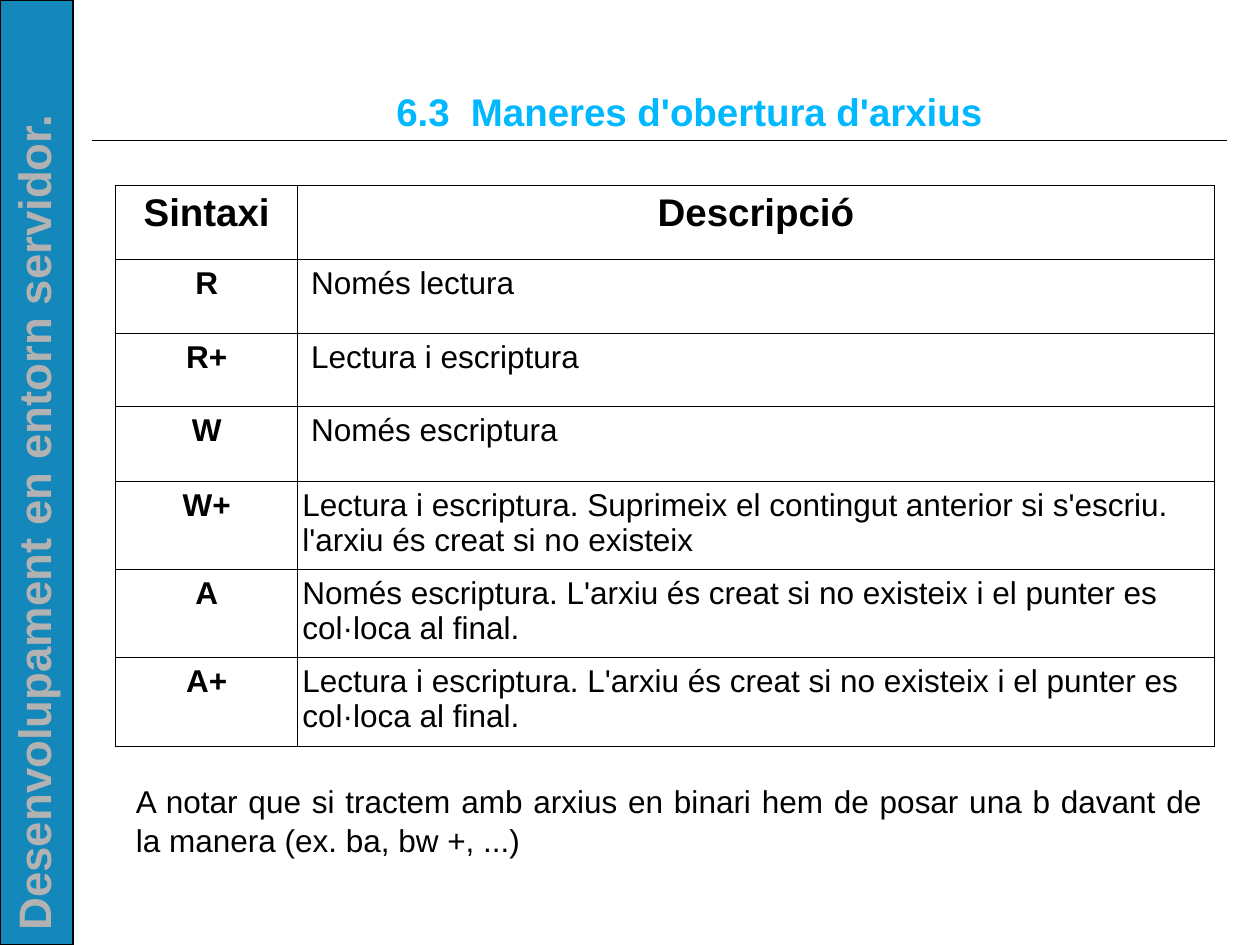
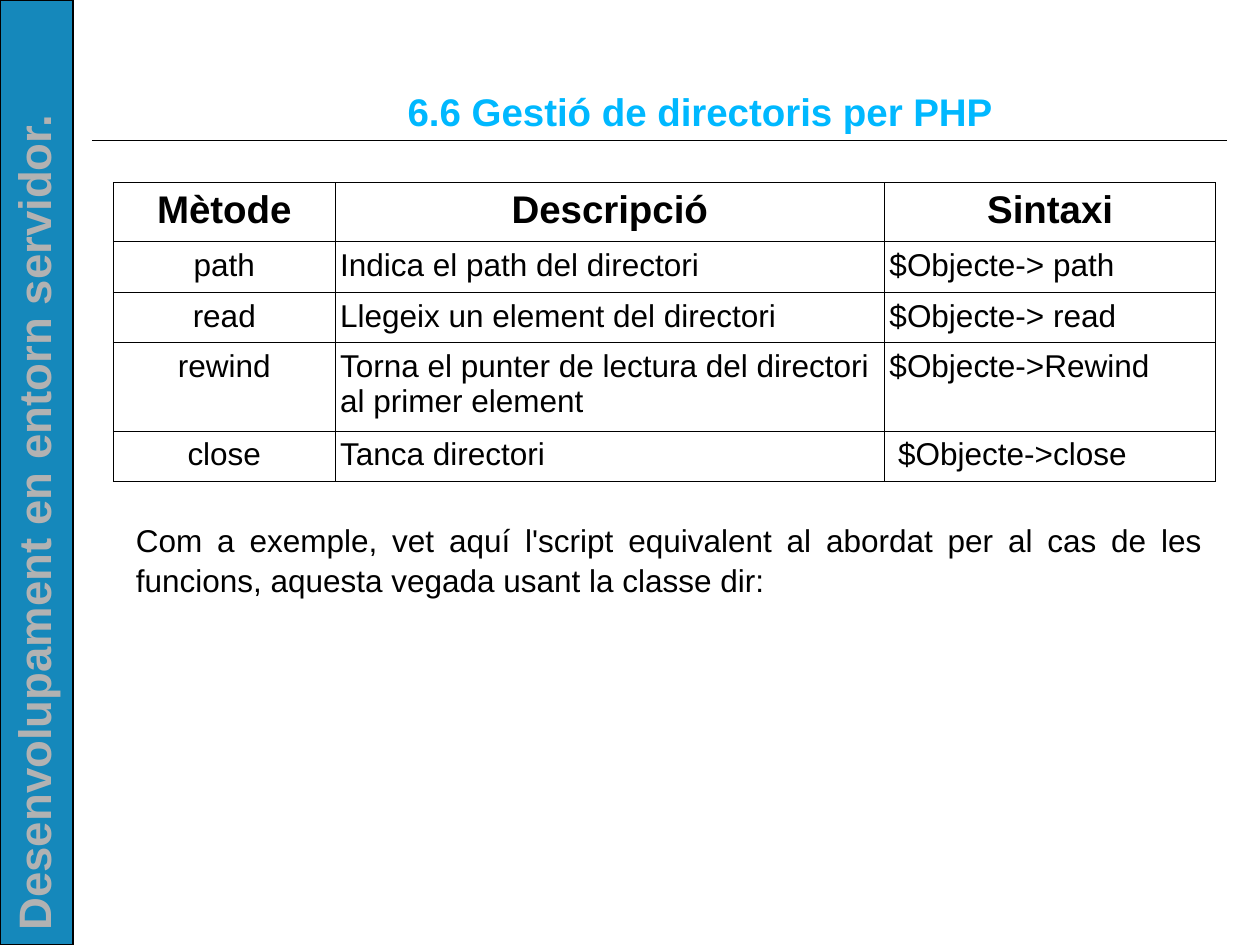
"""Builds two course slides on opening files and managing directories."""
from dataclasses import dataclass

from lxml import etree
from pptx import Presentation
from pptx.dml.color import RGBColor
from pptx.enum import shapes, text
from pptx.oxml import ns
from pptx.util import Inches, Pt


@dataclass(frozen=True)
class Theme:
    """Colours, font and type sizes of the course."""
    font: str = "Arial"
    ink: str = "000000"
    paper: str = "FFFFFF"
    band: str = "1588BB"
    caption: str = "B2B2B2"
    accent: str = "00B8FF"
    caption_size: int = 26
    heading_size: int = 22
    body_size: int = 18
    hairline: float = 0.25
    band_line: float = 1
    cell_line: float = 0.57


THEME = Theme()
COURSE = "Desenvolupament en entorn servidor."
LESSONS = [
    {
        "heading": "6.3  Maneres d'obertura d'arxius ",
        "corner": (0.92, 1.47),
        "columns": (1.44, 7.28),
        "row_heights": (0.59, 0.59, 0.58, 0.59, 0.7, 0.7, 0.7),
        "bold_keys": True,
        "rows": [
            ("Sintaxi", "Descripció"),
            ("R", " Només lectura"),
            ("R+", " Lectura i escriptura"),
            ("W", " Només escriptura"),
            ("W+", "Lectura i escriptura. Suprimeix el contingut anterior si s'escriu. "
                   "l'arxiu és creat si no existeix"),
            ("A", "Només escriptura. L'arxiu és creat si no existeix i el punter es "
                  "col·loca al final."),
            ("A+", "Lectura i escriptura. L'arxiu és creat si no existeix i el punter es "
                   "col·loca al final."),
        ],
        "remark_top": 6.14,
        "remark": "A notar que si tractem amb arxius en binari hem de posar una b davant de "
                  "la manera (ex. ba, bw +, ...) ",
    },
    {
        "heading": " 6.6 Gestió de directoris per PHP",
        "corner": (0.9, 1.45),
        "columns": (1.76, 4.36, 2.63),
        "row_heights": (0.47, 0.4, 0.4, 0.7, 0.4),
        "bold_keys": False,
        "rows": [
            ("Mètode", "Descripció", "Sintaxi"),
            ("path", "Indica el path del directori", "$Objecte-> path"),
            ("read", "Llegeix un element del directori", "$Objecte-> read"),
            ("rewind", "Torna el punter de lectura del directori al primer element",
             "$Objecte->Rewind"),
            ("close", "Tanca directori", " $Objecte->close"),
        ],
        "remark_top": 4.07,
        "remark": "Com a exemple, vet aquí l'script equivalent al abordat per al cas de les "
                  "funcions, aquesta vegada usant la classe dir: ",
    },
]


def rgb(colour):
    """Turn a hex string into a colour."""
    return RGBColor.from_string(colour)


def write(frame, words, size, colour=THEME.ink, bold=False, align=text.PP_ALIGN.LEFT):
    """Write one run into the first paragraph and return that paragraph."""
    frame.word_wrap = True
    paragraph = frame.paragraphs[0]
    paragraph.alignment = align
    run = paragraph.add_run()
    run.text = words
    run.font.name = THEME.font
    run.font.size = Pt(size)
    run.font.bold = bold
    run.font.color.rgb = rgb(colour)
    return paragraph


def set_insets(holder, side, end):
    """Set the inner margins of a text frame or a cell."""
    holder.margin_left = holder.margin_right = Inches(side)
    holder.margin_top = holder.margin_bottom = Inches(end)


def add_frame(slide):
    """Draw the side band, the course caption and the rule under the title."""
    band = slide.shapes.add_shape(
        shapes.MSO_SHAPE.RECTANGLE, 0, 0, Inches(0.58), Inches(7.5))
    band.shadow.inherit = False
    band.fill.solid()
    band.fill.fore_color.rgb = rgb(THEME.band)
    band.line.color.rgb = rgb(THEME.ink)
    band.line.width = Pt(THEME.band_line)

    caption = slide.shapes.add_textbox(
        Inches(-3.24), Inches(3.74), Inches(6.98), Inches(0.51))
    caption.rotation = 270
    write(caption.text_frame, COURSE, THEME.caption_size, THEME.caption, True)

    rule = slide.shapes.add_connector(
        shapes.MSO_CONNECTOR.STRAIGHT, Inches(0.73), Inches(1.11), Inches(9.74), Inches(1.11))
    rule.line.color.rgb = rgb(THEME.ink)
    rule.line.width = Pt(THEME.hairline)
    etree.SubElement(rule._element.spPr, ns.qn("a:effectLst"))


def add_heading(slide, words):
    """Place and fill the title."""
    heading = slide.shapes.title
    heading.left, heading.top = Inches(1.38), Inches(0.64)
    heading.width, heading.height = Inches(8.27), Inches(0.49)
    frame = heading.text_frame
    frame.auto_size = text.MSO_AUTO_SIZE.NONE
    frame.vertical_anchor = text.MSO_ANCHOR.MIDDLE
    set_insets(frame, 0, 0)
    write(frame, words, THEME.heading_size, THEME.accent, True, text.PP_ALIGN.CENTER)


def outline(cell):
    """Give a cell a thin line on all four sides."""
    properties = cell._tc.get_or_add_tcPr()
    for position, side in enumerate(("lnL", "lnR", "lnT", "lnB")):
        edge = etree.Element(ns.qn(f"a:{side}"), w=str(Pt(THEME.cell_line)))
        fill = etree.SubElement(edge, ns.qn("a:solidFill"))
        etree.SubElement(fill, ns.qn("a:srgbClr"), val=THEME.ink)
        properties.insert(position, edge)


def add_grid(slide, lesson):
    """Draw the table with centred headers and a centred first column."""
    rows, columns, heights = lesson["rows"], lesson["columns"], lesson["row_heights"]
    left, top = lesson["corner"]
    grid = slide.shapes.add_table(
        len(rows), len(columns), Inches(left), Inches(top),
        Inches(sum(columns)), Inches(sum(heights))).table
    grid.first_row = grid.horz_banding = False
    for column, width in zip(grid.columns, columns):
        column.width = Inches(width)
    for row, height in zip(grid.rows, heights):
        row.height = Inches(height)
    for r, row in enumerate(rows):
        for c, words in enumerate(row):
            cell = grid.cell(r, c)
            is_header, is_key = r == 0, c == 0
            set_insets(cell, 0.04, 0.05)
            cell.fill.solid()
            cell.fill.fore_color.rgb = rgb(THEME.paper)
            outline(cell)
            write(cell.text_frame, words,
                  THEME.heading_size if is_header else THEME.body_size,
                  bold=is_header or (is_key and lesson["bold_keys"]),
                  align=text.PP_ALIGN.CENTER if is_header or is_key else text.PP_ALIGN.LEFT)


def add_remark(slide, words, top):
    """Write the justified remark below the table."""
    remark = slide.shapes.add_textbox(Inches(0.98), Inches(top), Inches(8.66), Inches(0.66))
    paragraph = write(remark.text_frame, words, THEME.body_size, align=text.PP_ALIGN.JUSTIFY)
    paragraph.space_before, paragraph.space_after = Pt(11.9), Pt(9.9)
    paragraph.line_spacing = 1.05


def main():
    """Build and save the slides."""
    deck = Presentation()
    deck.slide_width, deck.slide_height = Inches(10), Inches(7.5)
    title_only = deck.slide_layouts.get_by_name("Title Only")
    for lesson in LESSONS:
        slide = deck.slides.add_slide(title_only)
        add_frame(slide)
        add_heading(slide, lesson["heading"])
        add_grid(slide, lesson)
        add_remark(slide, lesson["remark"], lesson["remark_top"])
    deck.save("out.pptx")


if __name__ == "__main__":
    main()
